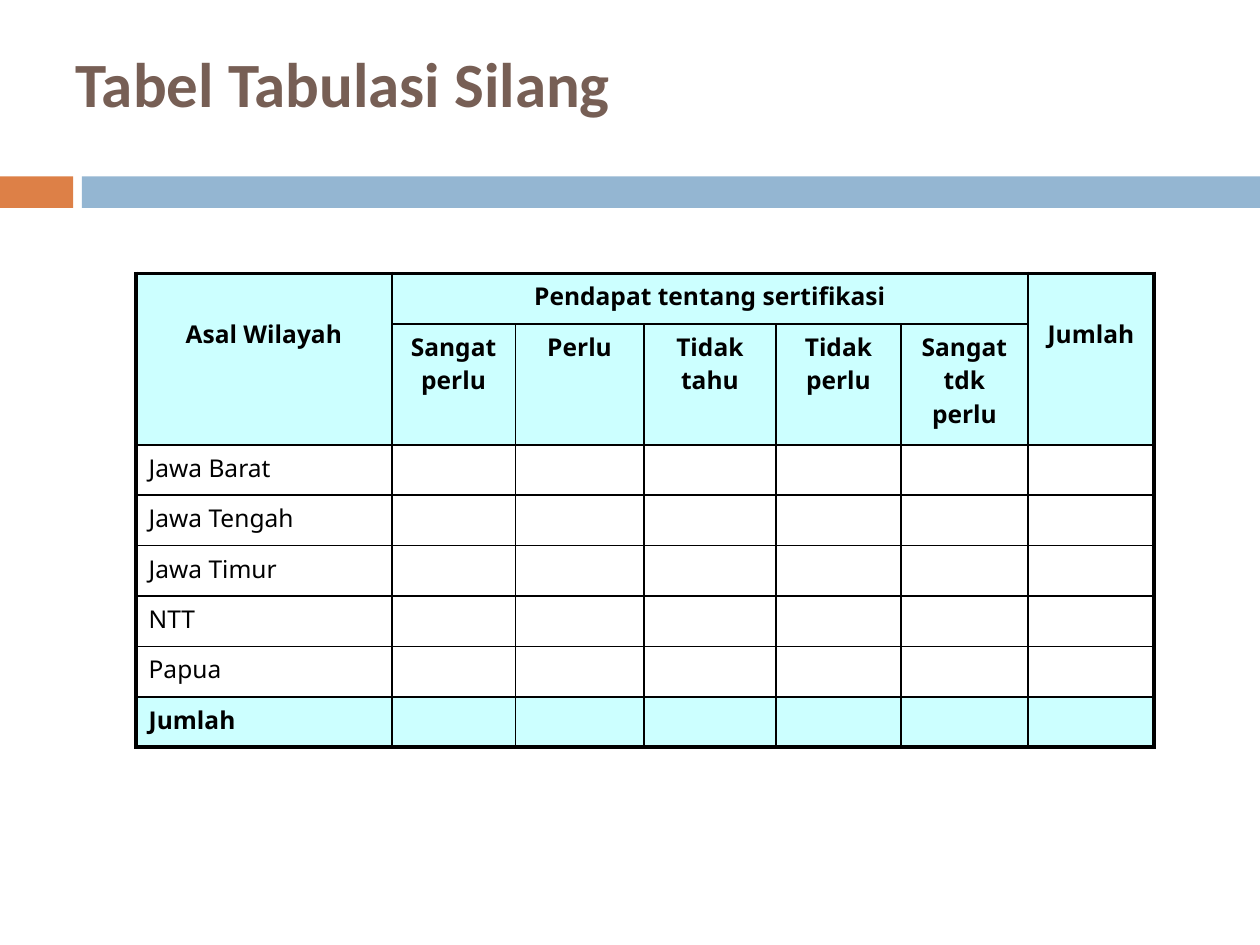
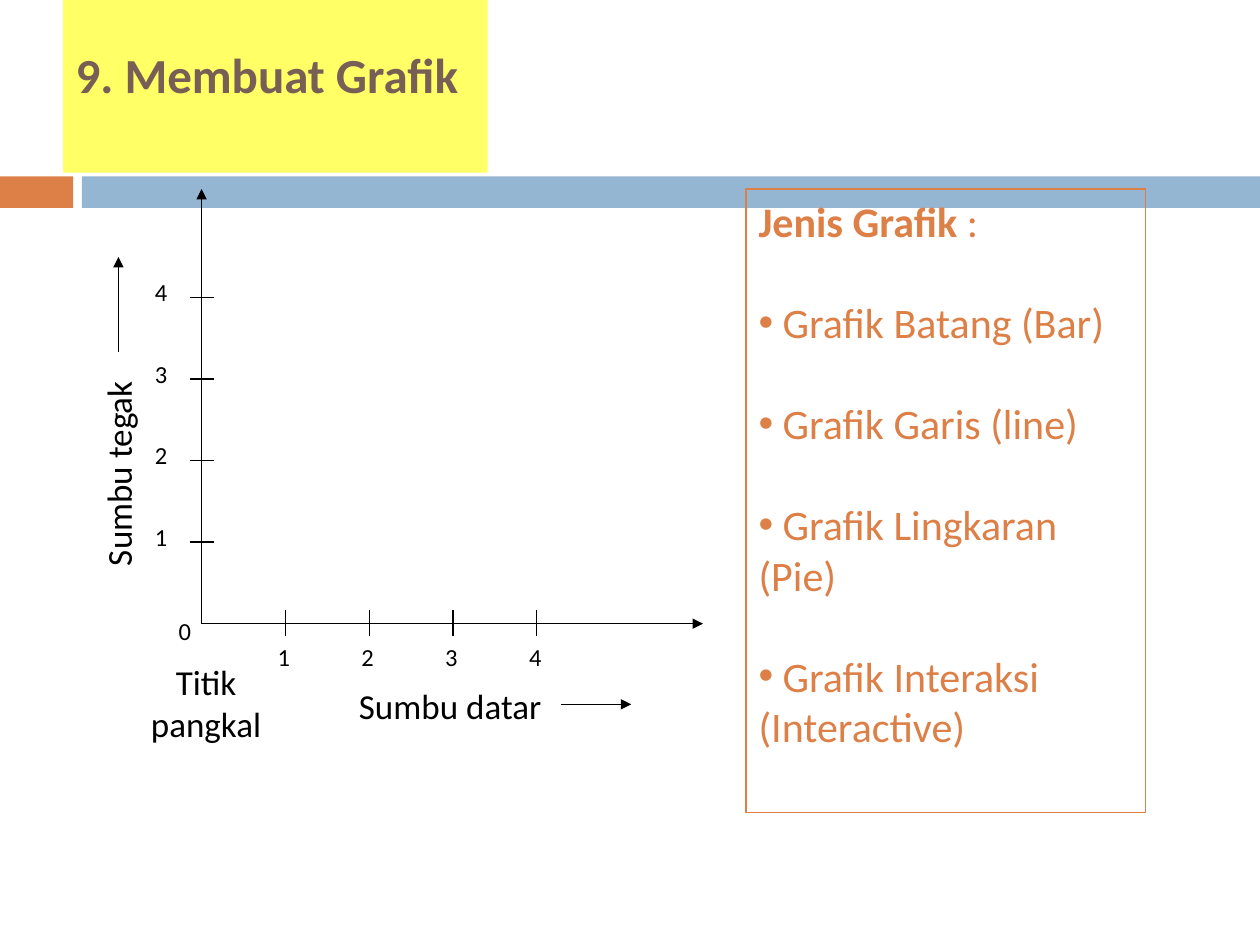
from dataclasses import dataclass

from lxml import etree
from pptx import Presentation
from pptx.dml.color import RGBColor
from pptx.enum.shapes import MSO_CONNECTOR, MSO_SHAPE
from pptx.enum.text import MSO_ANCHOR, MSO_AUTO_SIZE, PP_ALIGN
from pptx.oxml.ns import qn
from pptx.util import Inches, Pt

BLACK = RGBColor(0x00, 0x00, 0x00)
BROWN = RGBColor(0x77, 0x5F, 0x55)
ORANGE = RGBColor(0xDD, 0x80, 0x47)
BLUE = RGBColor(0x94, 0xB6, 0xD2)
CYAN = RGBColor(0xCC, 0xFF, 0xFF)
YELLOW = RGBColor(0xFF, 0xFF, 0x66)

LEFT, CENTER = PP_ALIGN.LEFT, PP_ALIGN.CENTER
TOP, MIDDLE = MSO_ANCHOR.TOP, MSO_ANCHOR.MIDDLE
NO_FIT = MSO_AUTO_SIZE.NONE
RECTANGLE = MSO_SHAPE.RECTANGLE
STRAIGHT = MSO_CONNECTOR.STRAIGHT

CONTENT_LAYOUT, TITLE_LAYOUT = 1, 5
BODY_FONT, TABLE_FONT = "Calibri", "Noto Sans"
THIN, MEDIUM, THICK = 1, 1.5, 2.25


@dataclass
class Box:
    """A rectangle in inches."""
    left: float
    top: float
    width: float
    height: float

    def lengths(self) -> list:
        """Return the four values as lengths."""
        return [Inches(v) for v in (self.left, self.top, self.width, self.height)]


@dataclass
class Line:
    """A straight line in inches, with an optional arrowhead at its end."""
    x1: float
    y1: float
    x2: float
    y2: float
    arrow: bool = False


@dataclass
class Label:
    """A text of the graph; each item of lines is a paragraph."""
    lines: list
    box: Box
    size: int = 14
    alignment: int = LEFT
    rotation: int = 0


@dataclass
class HeaderCell:
    """A table heading and the cells that it spans."""
    text: str
    row: int
    column: int
    rows: int = 1
    columns: int = 1


BANDS = [(Box(0, 1.4, 0.58, 0.25), ORANGE), (Box(0.65, 1.4, 9.35, 0.25), BLUE)]

TABLE_BOX = Box(1.08, 2.17, 8.08, 3.76)
COLUMN_WIDTHS = [2.03, 0.98, 1.02, 1.05, 0.99, 1.01, 1.0]
ROW_HEIGHTS = [0.4, 0.96] + [0.4] * 6
HEADER_ROWS = 2
OPINIONS = ["Sangat perlu", "Perlu", "Tidak tahu", "Tidak perlu", "Sangat tdk perlu"]
REGIONS = ["Jawa Barat", "Jawa Tengah", "Jawa Timur", "NTT", "Papua"]
HEADERS = [
    HeaderCell("Asal Wilayah", 0, 0, rows=2),
    HeaderCell("Pendapat tentang sertifikasi", 0, 1, columns=5),
    HeaderCell("Jumlah", 0, 6, rows=2),
] + [HeaderCell(text, 1, column) for column, text in enumerate(OPINIONS, 1)]

ORIGIN_X, ORIGIN_Y = 1.6, 4.95
STEP_X, STEP_Y = 2.66 / 4, 2.59 / 4
TICKS = range(1, 5)
LIST_BOX = Box(5.92, 1.5, 3.17, 4.95)
GRAPH_TYPES = ["Grafik Batang (Bar)", "Grafik Garis (line)",
               "Grafik Lingkaran (Pie)", "Grafik Interaksi (Interactive)"]


def add_run(paragraph, text: str, size: float, color: RGBColor,
            bold: bool = False, name: str = BODY_FONT) -> None:
    """Add a formatted run to a paragraph."""
    run = paragraph.add_run()
    run.text = text
    for attribute, value in {"name": name, "size": Pt(size), "bold": bold}.items():
        setattr(run.font, attribute, value)
    run.font.color.rgb = color


def place(shape, box: Box) -> None:
    """Move and size a shape."""
    shape.left, shape.top, shape.width, shape.height = box.lengths()


def set_frame(frame, **values) -> None:
    """Apply common and given format values to a text frame."""
    for attribute, value in {"word_wrap": True, "auto_size": NO_FIT,
                             "vertical_anchor": TOP, **values}.items():
        setattr(frame, attribute, value)


def move_bands_to_master(presentation, slide) -> None:
    """Draw the two bands once and keep them on the slide master."""
    for box, color in BANDS:
        band = slide.shapes.add_shape(RECTANGLE, *box.lengths())
        band.shadow.inherit = False
        band.fill.solid()
        band.fill.fore_color.rgb = color
        band.line.fill.background()
        presentation.slide_master.shapes.element.append(band.element)


def set_title(slide, text: str, size: int, box: Box, **frame_values):
    """Fill and place the title placeholder."""
    title = slide.shapes.title
    place(title, box)
    set_frame(title.text_frame, **frame_values)
    paragraph = title.text_frame.paragraphs[0]
    paragraph.alignment = LEFT
    add_run(paragraph, text, size, BROWN, bold=True)
    return title


def set_borders(cell, widths: dict) -> None:
    """Give a cell black borders; widths go by side letter, in points."""
    properties = cell._tc.get_or_add_tcPr()
    for side in "LRTB":
        line = etree.SubElement(properties, qn(f"a:ln{side}"),
                                w=str(int(Pt(widths[side]))))
        fill = etree.SubElement(line, qn("a:solidFill"))
        etree.SubElement(fill, qn("a:srgbClr"), val=str(BLACK))


def row_edge(edge: int) -> float:
    """Return the width of the horizontal rule above row number edge."""
    last = len(ROW_HEIGHTS)
    if edge in (0, last):
        return THICK
    return MEDIUM if edge in (HEADER_ROWS, last - 1) else THIN


def column_edge(edge: int) -> float:
    """Return the width of the vertical rule left of column number edge."""
    return THICK if edge in (0, len(COLUMN_WIDTHS)) else THIN


def write_cell(cell, text: str, bold: bool, alignment=LEFT) -> None:
    """Write one table text."""
    paragraph = cell.text_frame.paragraphs[0]
    paragraph.alignment = alignment
    add_run(paragraph, text, 14, BLACK, bold, TABLE_FONT)


def add_cross_table(slide) -> None:
    """Build the cross tabulation table."""
    row_count, column_count = len(ROW_HEIGHTS), len(COLUMN_WIDTHS)
    table = slide.shapes.add_table(row_count, column_count, *TABLE_BOX.lengths()).table
    table.first_row = table.horz_banding = False
    for column, width in zip(table.columns, COLUMN_WIDTHS):
        column.width = Inches(width)
    for row, height in zip(table.rows, ROW_HEIGHTS):
        row.height = Inches(height)

    spans = {(h.row, h.column): (h.rows, h.columns) for h in HEADERS}
    for row in range(row_count):
        for column in range(column_count):
            cell = table.cell(row, column)
            rows, columns = spans.get((row, column), (1, 1))
            set_borders(cell, {"L": column_edge(column),
                               "R": column_edge(column + columns),
                               "T": row_edge(row), "B": row_edge(row + rows)})
            cell.margin_bottom = 0
            if row < HEADER_ROWS or row == row_count - 1:
                cell.fill.solid()
                cell.fill.fore_color.rgb = CYAN
            else:
                cell.fill.background()

    for header in HEADERS:
        cell = table.cell(header.row, header.column)
        if header.rows > 1 or header.columns > 1:
            cell.merge(table.cell(header.row + header.rows - 1,
                                  header.column + header.columns - 1))
        if header.rows > 1:
            cell.margin_top = Inches(0.35)
        write_cell(cell, header.text, True, CENTER)
    for row, region in enumerate(REGIONS, HEADER_ROWS):
        write_cell(table.cell(row, 0), region, False)
    write_cell(table.cell(row_count - 1, 0), "Jumlah", True)


def add_line(shapes, line: Line) -> None:
    """Draw a thin black line or arrow."""
    ends = [Inches(v) for v in (line.x1, line.y1, line.x2, line.y2)]
    connector = shapes.add_connector(STRAIGHT, *ends)
    connector.line.color.rgb = BLACK
    connector.line.width = Pt(0.75)
    if line.arrow:
        etree.SubElement(connector.line._get_or_add_ln(), qn("a:tailEnd"),
                         type="triangle")
    etree.SubElement(connector.element.spPr, qn("a:effectLst"))


def add_label(shapes, label: Label) -> None:
    """Draw a text of the graph."""
    text_box = shapes.add_textbox(*label.box.lengths())
    text_box.rotation = label.rotation
    frame = text_box.text_frame
    set_frame(frame)
    for index, text in enumerate(label.lines):
        paragraph = frame.add_paragraph() if index else frame.paragraphs[0]
        paragraph.alignment = label.alignment
        add_run(paragraph, text, label.size, BLACK)


def add_axes(slide) -> None:
    """Draw the two axes with ticks, numbers and names as one group."""
    lines = [Line(ORIGIN_X, ORIGIN_Y, ORIGIN_X, 1.5, True),
             Line(ORIGIN_X, ORIGIN_Y, 5.58, ORIGIN_Y, True),
             Line(0.94, 2.79, 0.94, 2.04, True),
             Line(4.45, 5.59, 5.01, 5.59, True)]
    labels = [Label(["0"], Box(1.32, 4.84, 0.35, 0.43)),
              Label(["Sumbu tegak"], Box(0.01, 3.44, 1.86, 0.44), 20, rotation=270),
              Label(["Sumbu datar"], Box(2.75, 5.38, 1.72, 0.44), 20),
              Label(["Titik", "pangkal"], Box(1.09, 5.19, 1.09, 0.77), 20, CENTER)]
    for number in TICKS:
        x, y = ORIGIN_X + number * STEP_X, ORIGIN_Y - number * STEP_Y
        lines += [Line(1.51, y, 1.7, y), Line(x, 4.84, x, 5.05)]
        labels += [Label([str(number)], Box(1.13, y - 0.21, 0.35, 0.43)),
                   Label([str(number)], Box(x - 0.16, 5.05, 0.35, 0.43))]
    shapes = slide.shapes.add_group_shape().shapes
    for line in lines:
        add_line(shapes, line)
    for label in labels:
        add_label(shapes, label)


def set_bullet(paragraph, character: str = "") -> None:
    """Remove the indent and set or switch off the bullet."""
    properties = paragraph._p.get_or_add_pPr()
    properties.set("marL", "0")
    properties.set("indent", "0")
    if character:
        etree.SubElement(properties, qn("a:buChar"), char=character)
    else:
        etree.SubElement(properties, qn("a:buNone"))


def fill_graph_list(slide) -> None:
    """Fill the body placeholder with the outlined list of graph types."""
    body = slide.placeholders[1]
    place(body, LIST_BOX)
    body.line.color.rgb = ORANGE
    body.line.width = Pt(0.75)
    frame = body.text_frame
    set_frame(frame)
    heading = frame.paragraphs[0]
    heading.space_before = Pt(0)
    set_bullet(heading)
    add_run(heading, "Jenis Grafik", 24, ORANGE, bold=True)
    add_run(heading, " :", 24, ORANGE)
    for graph_type in GRAPH_TYPES:
        paragraph = frame.add_paragraph()
        paragraph.space_before = Pt(29)
        set_bullet(paragraph, "•")
        add_run(paragraph, f" {graph_type}", 24, ORANGE)


def main() -> None:
    """Build and save both slides."""
    presentation = Presentation()
    presentation.slide_width, presentation.slide_height = Inches(10), Inches(7.5)
    layouts = presentation.slide_layouts

    table_slide = presentation.slides.add_slide(layouts[TITLE_LAYOUT])
    move_bands_to_master(presentation, table_slide)
    set_title(table_slide, "Tabel Tabulasi Silang", 36, Box(0.5, 0.3, 4.49, 0.71),
              vertical_anchor=MIDDLE)
    add_cross_table(table_slide)

    graph_slide = presentation.slides.add_slide(layouts[CONTENT_LAYOUT])
    title = set_title(graph_slide, "9. Membuat Grafik", 28, Box(0.5, 0, 3.37, 1.37),
                      margin_top=Inches(0.35))
    title.fill.solid()
    title.fill.fore_color.rgb = YELLOW
    add_axes(graph_slide)
    fill_graph_list(graph_slide)
    presentation.save("out.pptx")


main()
